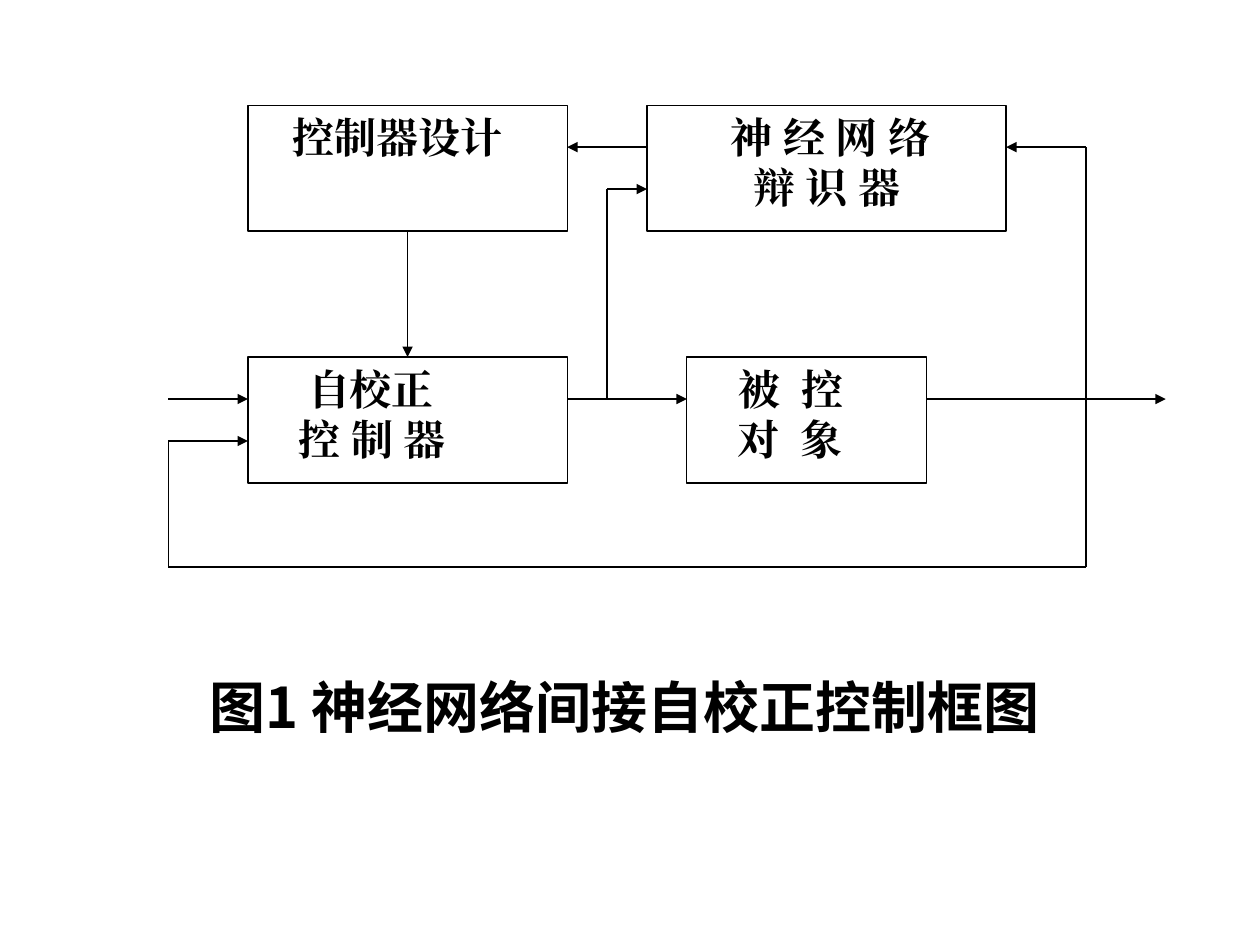
import pptx
import pptx.dml.color
import pptx.enum.shapes
import pptx.enum.text
import pptx.oxml
import pptx.oxml.ns
import pptx.util

Cm = pptx.util.Cm
Pt = pptx.util.Pt
Align = pptx.enum.text.PP_ALIGN
Anchor = pptx.enum.text.MSO_ANCHOR
BLACK = pptx.dml.color.RGBColor(0, 0, 0)
WHITE = pptx.dml.color.RGBColor(255, 255, 255)
NS = pptx.oxml.ns.nsdecls("a")

# Diagram grid: 25 columns and 11 rows of equal steps, in cm
LEFT, TOP = 3.39, 2.12
COL, ROW = 20.11 / 25, 9.31 / 11


def spot(col, row):
    return Cm(LEFT + col * COL), Cm(TOP + row * ROW)


class Chart:
    text_font = "Times New Roman"
    head_font = "Noto Sans CJK SC"
    line_width = Pt(0.75)

    def __init__(self, deck):
        self.slide = deck.slides.add_slide(deck.slide_layouts[5])

    def label(self, para, text, font, size):
        run = para.add_run()
        run.text = text
        run.font.name = font
        run.font.size = Pt(size)
        run.font.bold = True
        run.font.color.rgb = BLACK
        props = run.font._element
        props.append(pptx.oxml.parse_xml(f'<a:ea {NS} typeface="{font}"/>'))

    def title(self, text):
        shape = self.slide.shapes.title
        shape.left, shape.top = Cm(2.54), Cm(13.41)
        shape.width, shape.height = Cm(20.12), Cm(1.63)
        frame = shape.text_frame
        frame.auto_size = pptx.enum.text.MSO_AUTO_SIZE.NONE
        frame.vertical_anchor = Anchor.MIDDLE
        para = frame.paragraphs[0]
        para.alignment = Align.CENTER
        self.label(para, text, self.head_font, 32)

    def box(self, col, row, cols, lines, align=Align.JUSTIFY, tab=None):
        """Draw a box three rows high; lines holds (indent in cm, text)."""
        shape = self.slide.shapes.add_shape(
            pptx.enum.shapes.MSO_SHAPE.RECTANGLE,
            *spot(col, row), Cm(cols * COL), Cm(3 * ROW))
        shape.shadow.inherit = False
        shape.fill.solid()
        shape.fill.fore_color.rgb = WHITE
        shape.line.color.rgb = BLACK
        shape.line.width = self.line_width
        frame = shape.text_frame
        frame.word_wrap = True
        frame.vertical_anchor = Anchor.TOP
        for i, (indent, text) in enumerate(lines):
            para = frame.add_paragraph() if i else frame.paragraphs[0]
            para.alignment = align
            props = para._p.get_or_add_pPr()
            props.set("marL", str(Cm(indent)))
            props.set("indent", "0")
            if tab:
                props.append(pptx.oxml.parse_xml(
                    f'<a:tabLst {NS}><a:tab pos="{Cm(tab)}" algn="l"/></a:tabLst>'))
            self.label(para, text, self.text_font, 24)
        return shape

    def line(self, start, end, arrow=False):
        link = self.slide.shapes.add_connector(
            pptx.enum.shapes.MSO_CONNECTOR.STRAIGHT, *spot(*start), *spot(*end))
        link.line.color.rgb = BLACK
        link.line.width = self.line_width
        if arrow:
            link.line._get_or_add_ln().append(
                pptx.oxml.parse_xml(f'<a:tailEnd {NS} type="triangle"/>'))
        link._element.spPr.append(pptx.oxml.parse_xml(f"<a:effectLst {NS}/>"))
        return link

    def route(self, *points):
        """Draw straight legs through the points, with an arrow on the last."""
        for i in range(1, len(points)):
            self.line(points[i - 1], points[i], i == len(points) - 1)


def main():
    deck = pptx.Presentation()
    deck.slide_width, deck.slide_height = Cm(25.4), Cm(19.05)
    chart = Chart(deck)

    # Caption
    chart.title("图1 神经网络间接自校正控制框图")

    # Boxes
    design = chart.box(2, 0, 8, [(0.64, "控制器设计")])
    chart.box(12, 0, 9, [(0.16, "神 经 网 络"), (0, "辩 识 器")], Align.CENTER)
    tuner = chart.box(2, 6, 8, [(0.96, "自校正"), (0.77, "控 制 器")])
    chart.box(13, 6, 6, [(0.8, "被\t控"), (0.77, "对\t象")], tab=2.2)

    # Design drives the controller
    link = chart.line((6, 3), (6, 6), arrow=True)
    link.begin_connect(design, 2)
    link.end_connect(tuner, 0)

    # Signal paths
    chart.route((12, 1), (10, 1))
    chart.route((0, 7), (2, 7))
    chart.route((10, 7), (13, 7))
    chart.route((11, 7), (11, 2), (12, 2))
    chart.route((19, 7), (25, 7))

    # Output fed back to the identifier and the controller
    chart.route((23, 7), (23, 1), (21, 1))
    chart.route((23, 7), (23, 11), (0, 11), (0, 8), (2, 8))

    deck.save("out.pptx")


if __name__ == "__main__":
    main()
